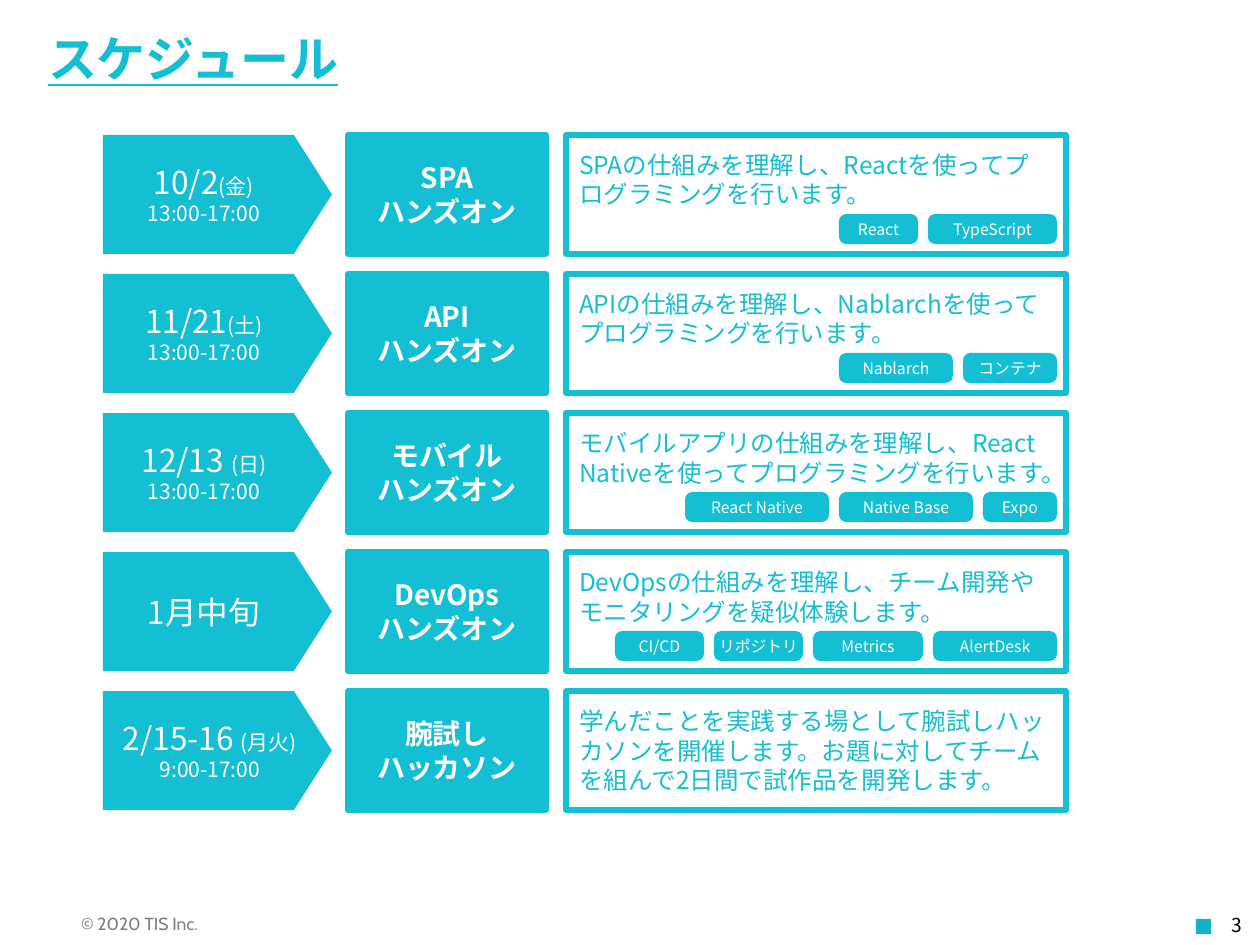
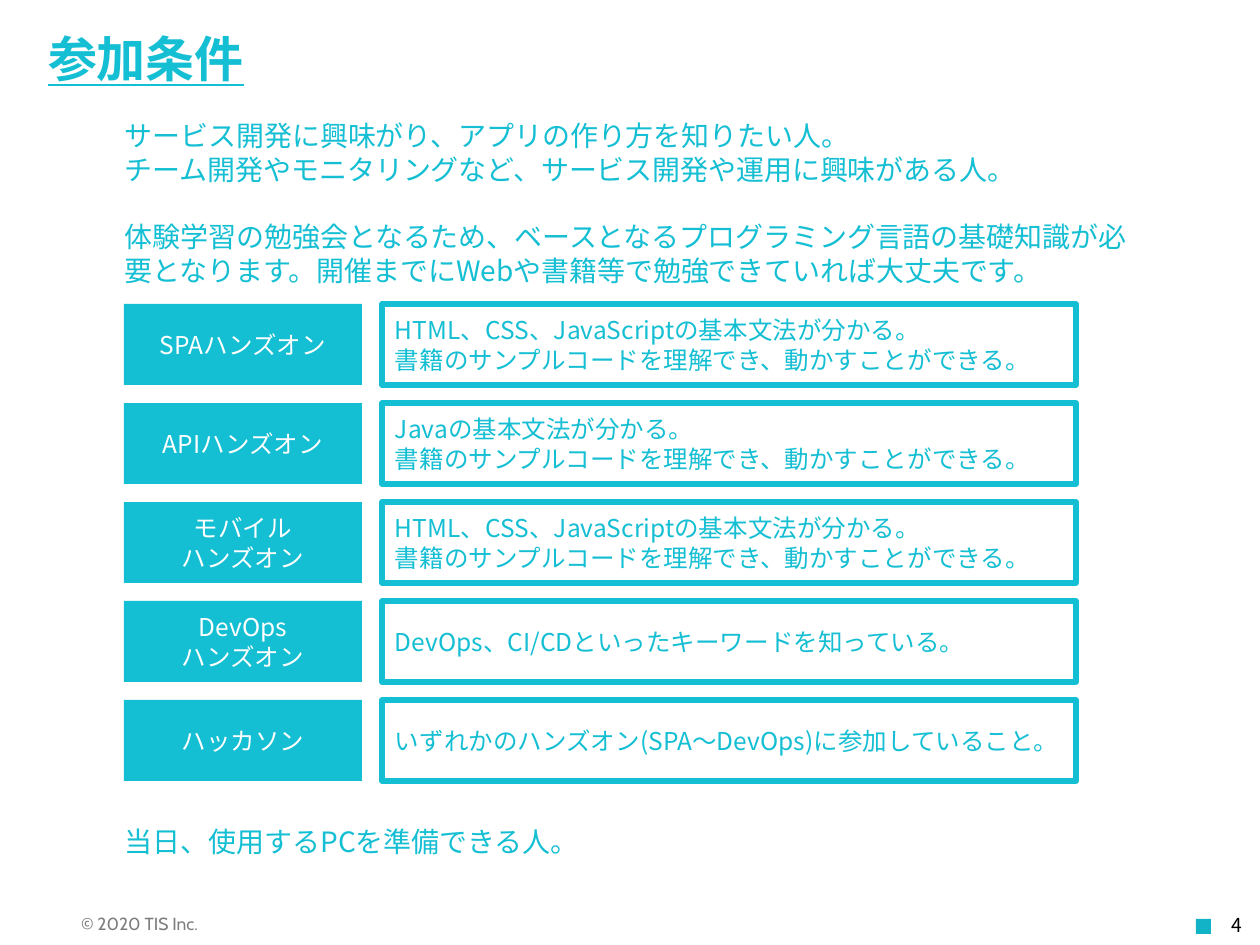
import dataclasses

import pptx
import pptx.dml.color
import pptx.enum.shapes
import pptx.enum.text
import pptx.oxml.ns
import pptx.util
from lxml import etree

SHAPE = pptx.enum.shapes.MSO_SHAPE
ALIGN = pptx.enum.text.PP_ALIGN
ANCHOR = pptx.enum.text.MSO_ANCHOR
EMU_PER_PX = 914400 / 126


@dataclasses.dataclass(frozen=True)
class Theme:
    accent: str = "14BED3"
    marker: str = "12B3C7"
    white: str = "FFFFFF"
    black: str = "000000"
    grey: str = "7D7D7F"
    font: str = "Noto Sans CJK JP"
    footer_font: str = "Cabin"
    title: int = 28
    date: int = 18
    lead: int = 16
    body: int = 14
    time: int = 12
    number: int = 11
    footer: int = 10
    tag: int = 9
    leading: float = 1.2
    outline: int = 3


THEME = Theme()


def px(length):
    return pptx.util.Emu(round(length * EMU_PER_PX))


def rgb(color):
    return pptx.dml.color.RGBColor.from_string(color)


def write(box, paragraphs, size=THEME.body, color=THEME.accent, font=THEME.font,
          bold=False, underline=False, align=ALIGN.LEFT, anchor=ANCHOR.MIDDLE,
          insets=(13, 6, 13, 6), gaps=None):
    frame = box.text_frame
    frame.word_wrap = True
    frame.vertical_anchor = anchor
    (frame.margin_left, frame.margin_top,
     frame.margin_right, frame.margin_bottom) = map(px, insets)
    for index, content in enumerate(paragraphs):
        para = frame.add_paragraph() if index else frame.paragraphs[0]
        para.alignment = align
        spans = [(content, size)] if isinstance(content, str) else content
        para.line_spacing = pptx.util.Pt(
            THEME.leading * max(points for _, points in spans))
        if gaps and index in gaps:
            para.space_before = pptx.util.Pt(gaps[index])
        for text, points in spans:
            span = para.add_run()
            span.text = text
            span.font.size = pptx.util.Pt(points)
            span.font.name = font
            span.font.bold = bold
            span.font.underline = underline
            span.font.color.rgb = rgb(color)
            properties = span.font._element
            properties.set("lang", "ja-JP")
            east_asian = etree.SubElement(properties, pptx.oxml.ns.qn("a:ea"))
            east_asian.set("typeface", font)


class Deck:
    def __init__(self, theme):
        self.theme = theme
        self.presentation = pptx.Presentation()
        self.presentation.slide_width = px(1260)
        self.presentation.slide_height = px(945)
        self.slide = None

    def page(self, title, number):
        theme = self.theme
        layout = self.presentation.slide_layouts[6]
        self.slide = self.presentation.slides.add_slide(layout)
        self.label(68, 907, 533, 42, ["© 2020 TIS Inc."], size=theme.footer,
                   font=theme.footer_font, color=theme.grey)
        self.shape(SHAPE.RECTANGLE, 1196, 919, 15, 15, fill=theme.marker)
        self.label(1080, 907, 175, 38, [str(number)], size=theme.number,
                   color=theme.black, align=ALIGN.RIGHT)
        self.label(35, 20, 1002, 76, [title], size=theme.title, bold=True,
                   underline=True, anchor=ANCHOR.MIDDLE)

    def label(self, left, top, width, height, paragraphs, **style):
        box = self.slide.shapes.add_textbox(px(left), px(top), px(width), px(height))
        write(box, paragraphs, **{"anchor": ANCHOR.TOP, **style})

    def shape(self, kind, left, top, width, height, fill=None, line=None, adjust=None):
        shape = self.slide.shapes.add_shape(
            kind, px(left), px(top), px(width), px(height))
        shape.shadow.inherit = False
        if fill:
            shape.fill.solid()
            shape.fill.fore_color.rgb = rgb(fill)
        else:
            shape.fill.background()
        if line:
            shape.line.color.rgb = rgb(line)
            shape.line.width = pptx.util.Pt(self.theme.outline)
        else:
            shape.line.fill.background()
        if adjust is not None:
            shape.adjustments[0] = adjust
        return shape

    def block(self, left, top, width, height, paragraphs, line=None, **style):
        box = self.shape(SHAPE.RECTANGLE, left, top, width, height,
                         fill=self.theme.accent, line=line)
        write(box, paragraphs, color=self.theme.white, align=ALIGN.CENTER, **style)

    def panel(self, left, top, width, height, paragraphs, fill=None, **style):
        box = self.shape(SHAPE.RECTANGLE, left, top, width, height,
                         fill=fill, line=self.theme.accent)
        write(box, paragraphs, **style)

    def arrow(self, left, top, width, height, paragraphs, right_inset):
        box = self.shape(SHAPE.PENTAGON, left, top, width, height,
                         fill=self.theme.accent, adjust=0.32)
        write(box, paragraphs, size=self.theme.date, color=self.theme.white,
              align=ALIGN.CENTER, insets=(4, 6, right_inset, 6))

    def tags(self, right, top, height, gap, tags):
        for text, width in reversed(tags):
            box = self.shape(SHAPE.ROUNDED_RECTANGLE, right - width, top, width,
                             height, fill=self.theme.accent, adjust=0.24)
            write(box, [text], size=self.theme.tag, color=self.theme.white,
                  align=ALIGN.CENTER, insets=(0, 0, 0, 0))
            right -= width + gap


def when(date, day, hours):
    return [[(date, THEME.date), (day, THEME.time)], [(hours, THEME.time)]]


SESSIONS = [
    (when("10/2", "(金)", "13:00-17:00"), ["SPA", "ハンズオン"],
     "SPAの仕組みを理解し、Reactを使ってプログラミングを行います。",
     [("React", 79), ("TypeScript", 129)]),
    (when("11/21", "(土)", "13:00-17:00"), ["API", "ハンズオン"],
     "APIの仕組みを理解し、Nablarchを使ってプログラミングを行います。",
     [("Nablarch", 114), ("コンテナ", 94)]),
    (when("12/13 ", "(日)", "13:00-17:00"), ["モバイル", "ハンズオン"],
     "モバイルアプリの仕組みを理解し、React Nativeを使ってプログラミングを行います。",
     [("React Native", 144), ("Native Base", 134), ("Expo", 74)]),
    (["1月中旬"], ["DevOps", "ハンズオン"],
     "DevOpsの仕組みを理解し、チーム開発やモニタリングを疑似体験します。",
     [("CI/CD", 89), ("リポジトリ", 89), ("Metrics", 110), ("AlertDesk", 124)]),
    (when("2/15-16 ", "(月火)", "9:00-17:00"), ["腕試し", "ハッカソン"],
     "学んだことを実践する場として腕試しハッカソンを開催します。"
     "お題に対してチームを組んで2日間で試作品を開発します。", []),
]

SAMPLE_CODE = "書籍のサンプルコードを理解でき、動かすことができる。"
WEB_BASICS = ["HTML、CSS、JavaScriptの基本文法が分かる。", SAMPLE_CODE]
REQUIREMENTS = [
    (["SPAハンズオン"], WEB_BASICS),
    (["APIハンズオン"], ["Javaの基本文法が分かる。", SAMPLE_CODE]),
    (["モバイル", "ハンズオン"], WEB_BASICS),
    (["DevOps", "ハンズオン"], ["DevOps、CI/CDといったキーワードを知っている。"]),
    (["ハッカソン"], ["いずれかのハンズオン(SPA～DevOps)に参加していること。"]),
]


def schedule(deck):
    deck.page("スケジュール", 3)
    height, pitch = 119, 139
    for row, (date, name, summary, tags) in enumerate(SESSIONS):
        top = 135 + row * pitch
        deck.arrow(103, top, 229, height, date, right_inset=12 if tags else 0)
        deck.block(348, top, 198, height, name, line=THEME.accent,
                   size=THEME.lead, bold=True)
        deck.panel(566, top, 500, height, [summary], fill=THEME.white,
                   insets=(13, 6, 13, 36 if tags else 6))
        deck.tags(1057, top + 79, 30, 10, tags)


def requirements(deck):
    deck.page("参加条件", 4)
    deck.label(112, 113, 1043, 180, [
        "サービス開発に興味がり、アプリの作り方を知りたい人。",
        "チーム開発やモニタリングなど、サービス開発や運用に興味がある人。",
        "体験学習の勉強会となるため、ベースとなるプログラミング言語の基礎知識が"
        "必要となります。開催までにWebや書籍等で勉強できていれば大丈夫です。",
    ], size=THEME.lead, gaps={2: THEME.lead * THEME.leading})
    height, pitch = 81, 99
    for row, (name, conditions) in enumerate(REQUIREMENTS):
        top = 304 + row * pitch
        deck.block(124, top, 238, height, name)
        deck.panel(382, top, 694, height, conditions)
    deck.label(112, 819, 1043, 46, ["当日、使用するPCを準備できる人。"],
               size=THEME.lead)


def main():
    deck = Deck(THEME)
    schedule(deck)
    requirements(deck)
    deck.presentation.save("out.pptx")


if __name__ == "__main__":
    main()
